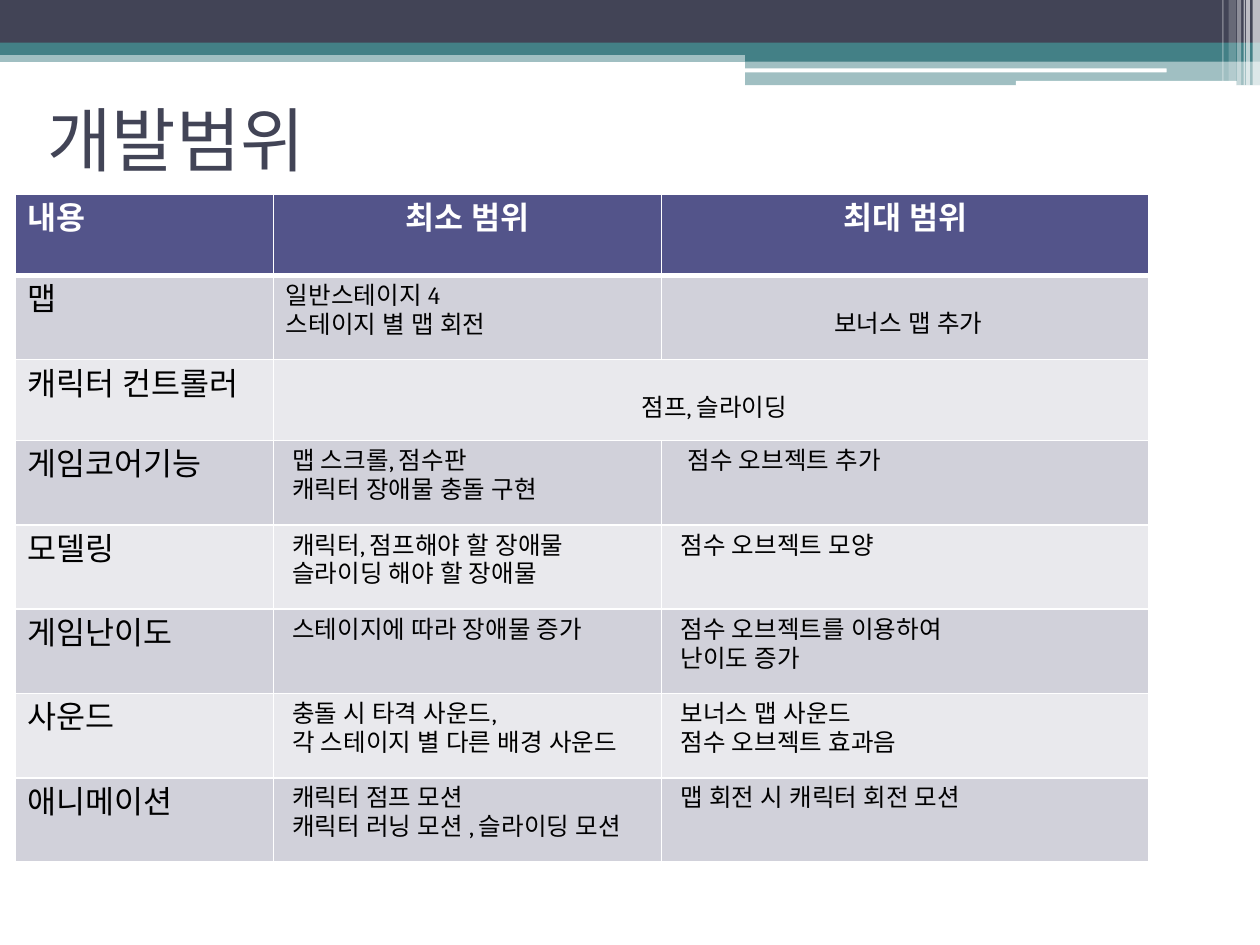
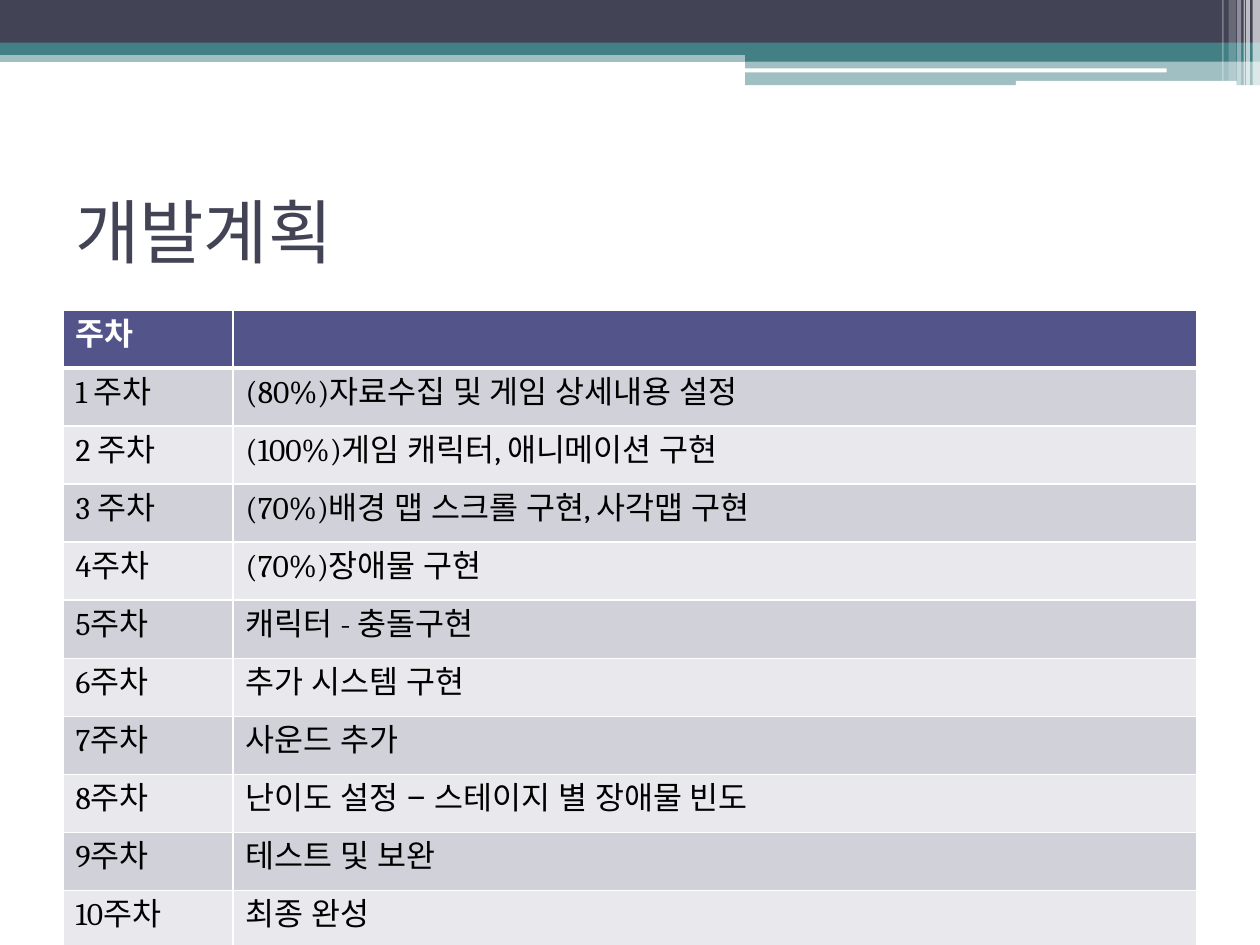
from lxml import etree
from pptx import Presentation
from pptx import util as u
from pptx.dml import color
from pptx.enum import shapes, text
from pptx.oxml import ns

DARK, TEAL, WHITE, BLACK = "424456", "438086", "FFFFFF", "000000"
HEAD, ODD, EVEN = "53548A", "D1D1DA", "E9E9ED"
RECT = shapes.MSO_SHAPE.RECTANGLE
ROUND = shapes.MSO_SHAPE.ROUNDED_RECTANGLE
MID = text.PP_ALIGN.CENTER

BANDS = [
    (RECT, 0, 1.02, 25.4, 0.23, TEAL, 50),
    (RECT, 0, 0, 25.4, 0.87, DARK, 100),
    (RECT, 0, 0.86, 25.4, 0.25, TEAL, 100),
    (RECT, 15.02, 0.99, 10.38, 0.25, TEAL, 100),
    (RECT, 15.02, 1.22, 10.38, 0.5, TEAL, 50),
    (ROUND, 15.01, 1.38, 8.51, 0.08, WHITE, 100),
    (ROUND, 20.48, 1.63, 4.45, 0.1, WHITE, 100),
]
STRIPES = [
    (25.25, 0.15, 1.73, 65),
    (25.12, 0.08, 1.73, 65),
    (25.07, 0.03, 1.73, 60),
    (24.94, 0.08, 1.73, 40),
    (24.77, 0.15, 1.63, 20),
    (24.64, 0.03, 1.63, 30),
]
SCOPE = [
    ("내용", "최소 범위", "최대 범위"),
    ("맵", "일반스테이지 4\n스테이지 별 맵 회전", "보너스 맵 추가"),
    ("캐릭터 컨트롤러", "점프, 슬라이딩", ""),
    ("게임코어기능", "맵 스크롤, 점수판\n캐릭터 장애물 충돌 구현", "점수 오브젝트 추가"),
    ("모델링", "캐릭터, 점프해야 할 장애물\n슬라이딩 해야 할 장애물",
     "점수 오브젝트 모양"),
    ("게임난이도", "스테이지에 따라 장애물 증가",
     "점수 오브젝트를 이용하여\n난이도 증가"),
    ("사운드", "충돌 시 타격 사운드,\n각 스테이지 별 다른 배경 사운드",
     "보너스 맵 사운드\n점수 오브젝트 효과음"),
    ("애니메이션", "캐릭터 점프 모션\n캐릭터 러닝 모션 , 슬라이딩 모션",
     "맵 회전 시 캐릭터 회전 모션"),
]
PLAN = [
    ("주차", ""),
    ("1 주차", "(80%)자료수집 및 게임 상세내용 설정"),
    ("2 주차", "(100%)게임 캐릭터, 애니메이션 구현"),
    ("3 주차", "(70%)배경 맵 스크롤 구현, 사각맵 구현"),
    ("4주차", "(70%)장애물 구현"),
    ("5주차", "캐릭터 - 충돌구현"),
    ("6주차", "추가 시스템 구현"),
    ("7주차", "사운드 추가"),
    ("8주차", "난이도 설정 – 스테이지 별 장애물 빈도"),
    ("9주차", "테스트 및 보완"),
    ("10주차", "최종 완성"),
]


def paint(fill, tone, alpha=100):
    """Fill with a hex colour at the given opacity in percent."""
    fill.solid()
    fill.fore_color.rgb = color.RGBColor.from_string(tone)
    if alpha < 100:
        node = fill.fore_color._xFill.find(ns.qn("a:srgbClr"))
        etree.SubElement(node, ns.qn("a:alpha"), val=str(alpha * 1000))


def style(frame, size, face, tone, bold=False):
    """Format every run of a text frame, Korean glyphs included."""
    for para in frame.paragraphs:
        for run in para.runs:
            run.font.size = u.Pt(size)
            run.font.bold = bold
            paint(run.font.fill, tone)
            run.font.name = face
            props = run._r.get_or_add_rPr()
            etree.SubElement(props, ns.qn("a:ea"), typeface="Roboto")


def add_bar(slide, kind, left, top, width, height, tone, alpha):
    """Draw one flat bar of the header."""
    bar = slide.shapes.add_shape(
        kind, u.Cm(left), u.Cm(top), u.Cm(width), u.Cm(height))
    bar.shadow.inherit = False
    bar.line.fill.background()
    paint(bar.fill, tone, alpha)


def add_title(slide, words, left, top):
    """Write the slide title."""
    box = slide.shapes.add_textbox(
        u.Cm(left), u.Cm(top), u.Cm(22.86), u.Cm(2.97))
    frame = box.text_frame
    frame.word_wrap = True
    frame.vertical_anchor = text.MSO_ANCHOR.MIDDLE
    frame.text = words
    style(frame, 40, "Roboto", DARK)


def add_edges(cell, row):
    """Rule a cell in white, thicker below the head row."""
    widths = {"L": 1, "R": 1, "T": 3 if row == 1 else 1,
              "B": 3 if row == 0 else 1}
    props = cell._tc.get_or_add_tcPr()
    for side, width in widths.items():
        line = etree.SubElement(
            props, ns.qn("a:ln" + side), w=str(u.Pt(width)))
        fill = etree.SubElement(line, ns.qn("a:solidFill"))
        etree.SubElement(fill, ns.qn("a:srgbClr"), val=WHITE)


def add_grid(slide, rows, left, top, widths, height, small):
    """Add a banded table, taller where a row has two lines."""
    tall = [height + 0.07 * ("\n" in "".join(row)) for row in rows]
    grid = slide.shapes.add_table(
        len(rows), len(widths), u.Cm(left), u.Cm(top),
        u.Cm(sum(widths)), u.Cm(sum(tall))).table
    for col, width in zip(grid.columns, widths):
        col.width = u.Cm(width)
    for r, row in enumerate(rows):
        grid.rows[r].height = u.Cm(tall[r])
        for c, words in enumerate(row):
            cell = grid.cell(r, c)
            add_edges(cell, r)
            paint(cell.fill, HEAD if r == 0 else ODD if r % 2 else EVEN)
            cell.text_frame.text = words
            size = small if r and c else 18
            style(cell.text_frame, size, "Cambria",
                  BLACK if r else WHITE, r == 0)
    return grid


def set_scope(grid):
    """Merge, centre and indent the cells of the scope table."""
    grid.cell(2, 1).merge(grid.cell(2, 2))
    for r, c in [(0, 1), (0, 2), (1, 2), (2, 1)]:
        cell = grid.cell(r, c)
        cell.text_frame.paragraphs[0].alignment = MID
        if r:
            cell.margin_top = u.Cm(0.69)
            cell.margin_left = u.Cm(0.38)
    for r in range(3, len(SCOPE)):
        for c in (1, 2):
            grid.cell(r, c).margin_left = u.Cm(0.38)
    grid.cell(3, 2).margin_left = u.Cm(0.52)


def add_page(deck, words, left, top):
    """Add a slide with the shared header and a title."""
    slide = deck.slides.add_slide(deck.slide_layouts[6])
    for band in BANDS:
        add_bar(slide, *band)
    for x, width, height, alpha in STRIPES:
        add_bar(slide, RECT, x, 0, width, height, WHITE, alpha)
    add_title(slide, words, left, top)
    return slide


def main():
    """Build both slides and save the deck."""
    deck = Presentation()
    deck.slide_width, deck.slide_height = u.Cm(25.4), u.Cm(19.05)
    scope = add_page(deck, "개발범위", 0.71, 1.31)
    set_scope(add_grid(scope, SCOPE, 0.31, 3.92, (5.2, 7.83, 9.82), 1.63, 14))
    plan = add_page(deck, "개발계획", 1.27, 3.16)
    add_grid(plan, PLAN, 1.27, 6.25, (3.43, 19.43), 1.17, 18)
    deck.save("out.pptx")


if __name__ == "__main__":
    main()
